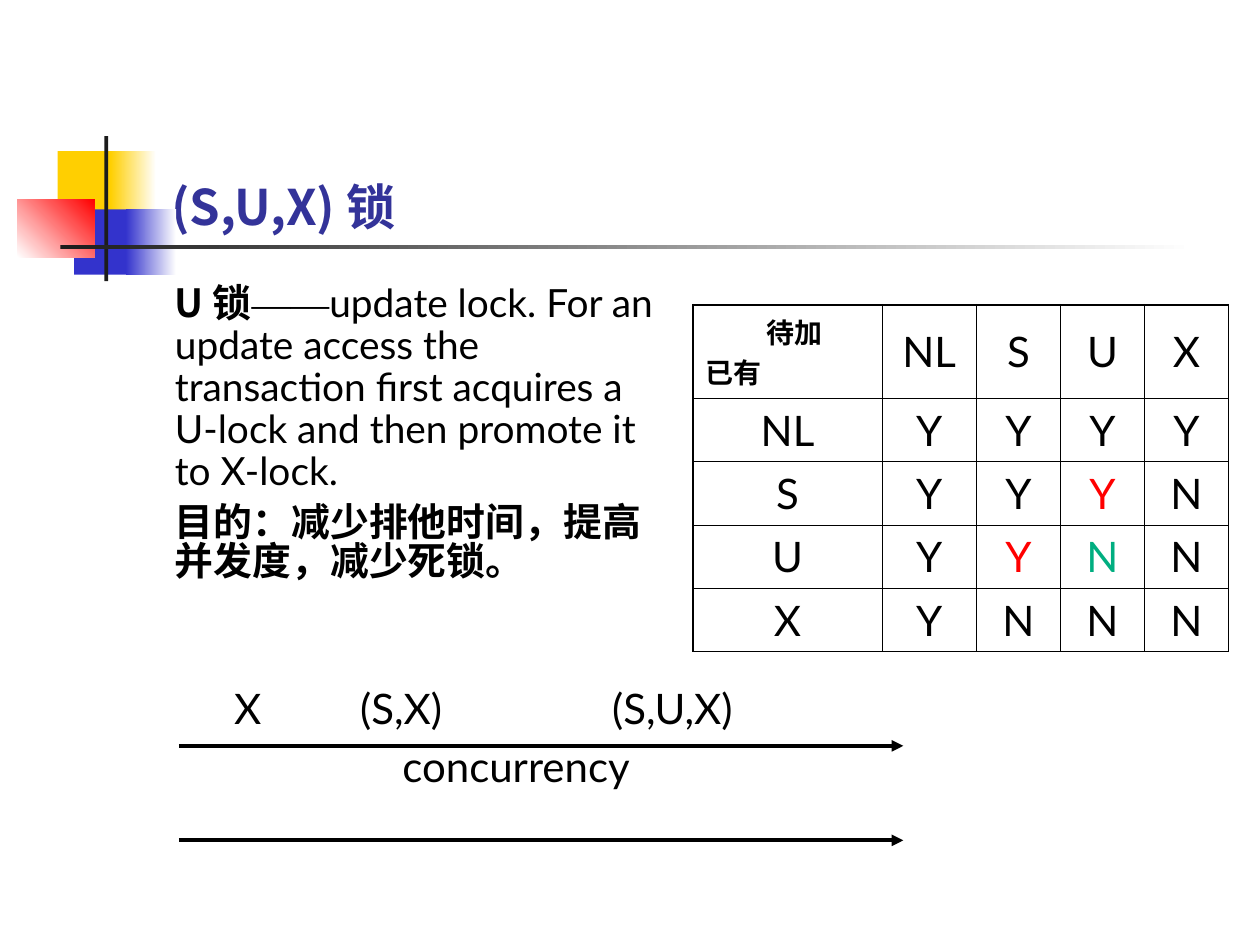
from dataclasses import dataclass

from pptx import Presentation
from pptx.dml.color import RGBColor
from pptx.enum.shapes import MSO_CONNECTOR, MSO_SHAPE
from pptx.enum.text import MSO_ANCHOR, MSO_AUTO_SIZE, PP_ALIGN
from pptx.oxml.ns import qn
from pptx.util import Pt
from lxml import etree

RECTANGLE = MSO_SHAPE.RECTANGLE
STRAIGHT = MSO_CONNECTOR.STRAIGHT
TOP, MIDDLE, BOTTOM = MSO_ANCHOR.TOP, MSO_ANCHOR.MIDDLE, MSO_ANCHOR.BOTTOM
LEFT, CENTER = PP_ALIGN.LEFT, PP_ALIGN.CENTER
NO_AUTOFIT = MSO_AUTO_SIZE.NONE


@dataclass(frozen=True)
class Theme:
    latin: str = "Lato"
    chinese: str = "Noto Sans CJK SC"
    dash: str = "Times New Roman"
    title_size: float = 28
    body_size: float = 22.2
    table_size: float = 24
    corner_size: float = 16
    ink: str = "000000"
    title: str = "333399"
    yellow: str = "FFCF01"
    blue: str = "3333CC"
    red: str = "FF0000"
    green: str = "00AE80"
    rule: str = "1C1C1C"
    paper: str = "FFFFFF"
    thin: float = 0.45
    thick: float = 1.08
    arrow: float = 2.25


THEME = Theme()

LOCK_MODES = ["NL", "S", "U", "X"]
COMPATIBILITY = ["YYYY", "YYYN", "YYNN", "YNNN"]
HIGHLIGHTS = {("S", "U"): THEME.red, ("U", "S"): THEME.red, ("U", "U"): THEME.green}


def style(font, size, latin=THEME.latin, color=THEME.ink, bold=False, asian=THEME.chinese):
    font.size, font.name, font.bold = Pt(size), latin, bold
    font.color.rgb = RGBColor.from_string(color)
    east_asian = etree.Element(qn("a:ea"), typeface=asian)
    font._rPr.find(qn("a:latin")).addnext(east_asian)


def place(shape, left, top, width, height):
    shape.left, shape.top = Pt(left), Pt(top)
    shape.width, shape.height = Pt(width), Pt(height)


def add_block(slide, left, top, width, height, start, end=None, angle=0):
    """Add a borderless rectangle, fading from start to end when end is given."""
    block = slide.shapes.add_shape(RECTANGLE, Pt(left), Pt(top), Pt(width), Pt(height))
    block.shadow.inherit = False
    block.line.fill.background()
    if end is None:
        block.fill.solid()
        block.fill.fore_color.rgb = RGBColor.from_string(start)
        return
    block.fill.gradient()
    block.fill.gradient_angle = angle
    for stop, color in zip(block.fill.gradient_stops, (start, end)):
        stop.color.rgb = RGBColor.from_string(color)


def add_ornament(slide, left, top):
    t = THEME
    blocks = [
        (23, 8.6, 34.6, 37.4, t.yellow),
        (53.2, 8.6, 26, 37.4, t.yellow, t.paper),
        (32.4, 41.8, 33.1, 37.4, t.blue),
        (61.9, 41.8, 28.8, 37.4, t.blue, t.paper),
        (0, 36, 44, 33.1, t.paper, t.red, 45),
        (49.7, 0, 2.2, 82.8, t.rule),
        (24.5, 62.2, 648, 2.4, t.rule, t.paper),
    ]
    for x, y, *rest in blocks:
        add_block(slide, left + x, top + y, *rest)


def add_title(slide, left, top, width, height):
    title = slide.shapes.title
    place(title, left, top, width, height)
    frame = title.text_frame
    frame.text = "(S,U,X) 锁"
    frame.vertical_anchor = BOTTOM
    frame.auto_size = NO_AUTOFIT
    paragraph = frame.paragraphs[0]
    paragraph.alignment = LEFT
    style(paragraph.runs[0].font, THEME.title_size, THEME.chinese, THEME.title, True)


def add_explanation(slide, left, top, width, height):
    t = THEME
    frame = slide.shapes.add_textbox(Pt(left), Pt(top), Pt(width), Pt(height)).text_frame
    frame.word_wrap = True
    definition, purpose = frame.paragraphs[0], frame.add_paragraph()
    definition.line_spacing = 0.9
    for words, latin, bold, asian in [
        ("U 锁", t.chinese, True, t.chinese),
        ("——", t.dash, False, t.dash),
        ("update lock. For an update access the transaction first acquires "
         "a U-lock and then promote it to X-lock.", t.latin, False, t.chinese),
    ]:
        run = definition.add_run()
        run.text = words
        style(run.font, t.body_size, latin, bold=bold, asian=asian)
    purpose.line_spacing = 0.84
    purpose.space_before = Pt(6)
    purpose.text = "目的：减少排他时间，提高并发度，减少死锁。"
    style(purpose.runs[0].font, t.body_size, bold=True)


def set_borders(cell, widths):
    properties = cell._tc.get_or_add_tcPr()
    for position, (side, width) in enumerate(widths.items()):
        line = etree.Element(qn(f"a:{side}"), w=str(Pt(width)))
        fill = etree.SubElement(line, qn("a:solidFill"))
        etree.SubElement(fill, qn("a:srgbClr"), val=THEME.ink)
        properties.insert(position, line)


def fill_corner(cell):
    cell.text = "待加\n已有"
    requested, held = cell.text_frame.paragraphs
    requested._p.get_or_add_pPr().set("marL", str(Pt(35)))
    for paragraph in (requested, held):
        style(paragraph.runs[0].font, THEME.corner_size, bold=True)


def add_compatibility_table(slide, left, top):
    t = THEME
    column_widths = [108, 54, 48, 48, 48]
    row_heights = [53.4] + [36.2] * 4
    last = len(LOCK_MODES)
    table = slide.shapes.add_table(
        last + 1, last + 1, Pt(left), Pt(top),
        Pt(sum(column_widths)), Pt(sum(row_heights))).table
    table.first_row = table.horz_banding = False
    for column, width in zip(table.columns, column_widths):
        column.width = Pt(width)
    for row, height in zip(table.rows, row_heights):
        row.height = Pt(height)

    grid = [["", *LOCK_MODES]]
    grid += [[held, *answers] for held, answers in zip(LOCK_MODES, COMPATIBILITY)]
    for r, values in enumerate(grid):
        for c, value in enumerate(values):
            cell = table.cell(r, c)
            cell.fill.background()
            cell.vertical_anchor = MIDDLE
            outer = {"lnL": c == 0, "lnR": c == last, "lnT": r == 0, "lnB": r == last}
            set_borders(cell, {side: t.thick if edge else t.thin
                               for side, edge in outer.items()})
            if r == c == 0:
                fill_corner(cell)
                continue
            cell.text = value
            paragraph = cell.text_frame.paragraphs[0]
            paragraph.alignment = CENTER
            color = HIGHLIGHTS.get((values[0], grid[0][c]), t.ink)
            style(paragraph.runs[0].font, t.table_size, color=color)


def add_arrow(slide, left, top, length):
    arrow = slide.shapes.add_connector(STRAIGHT, Pt(left), Pt(top), Pt(left + length), Pt(top))
    arrow.line.width = Pt(THEME.arrow)
    arrow.line.color.rgb = RGBColor.from_string(THEME.ink)
    etree.SubElement(arrow.line._get_or_add_ln(), qn("a:tailEnd"), type="triangle")
    etree.SubElement(arrow._element.spPr, qn("a:effectLst"))


def add_scale_label(slide, left, top, width, words, alignment=LEFT):
    frame = slide.shapes.add_textbox(Pt(left), Pt(top), Pt(width), Pt(36)).text_frame
    frame.word_wrap = False
    paragraph = frame.paragraphs[0]
    paragraph.text = words
    paragraph.alignment = alignment
    tabs = etree.SubElement(paragraph._p.get_or_add_pPr(), qn("a:tabLst"))
    for stop in (72, 144, 216):
        etree.SubElement(tabs, qn("a:tab"), pos=str(Pt(stop)), algn="l")
    style(paragraph.runs[0].font, THEME.table_size)


def add_concurrency_scale(slide, left, top, length):
    for offset in (39.6, 93.6):
        add_arrow(slide, left, top + offset, length)
    add_scale_label(slide, left + 24.5, top, 302.4, "X\t(S,X)\t\t(S,U,X)")
    add_scale_label(slide, left + 116, top + 33.1, 153.4, "concurrency", CENTER)


def main():
    presentation = Presentation()
    presentation.slide_width, presentation.slide_height = Pt(720), Pt(540)
    slide = presentation.slides.add_slide(presentation.slide_layouts[5])
    add_ornament(slide, 10, 77.8)
    add_title(slide, 90.7, 48.2, 613.4, 90)
    add_explanation(slide, 92.9, 159, 290.9, 218.9)
    add_compatibility_table(slide, 396, 174.2)
    add_concurrency_scale(slide, 102.2, 386.6, 414)
    presentation.save("out.pptx")


if __name__ == "__main__":
    main()
